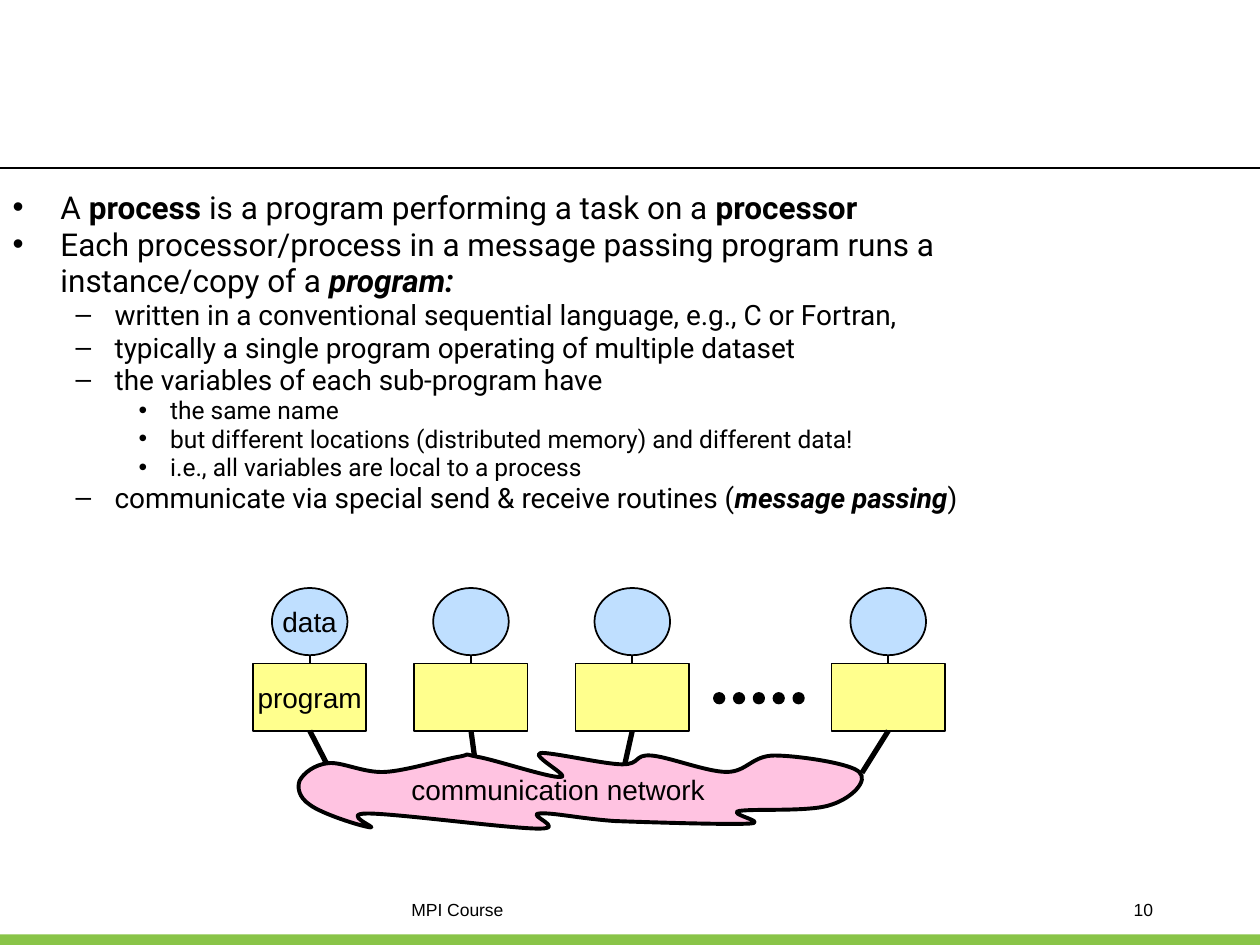
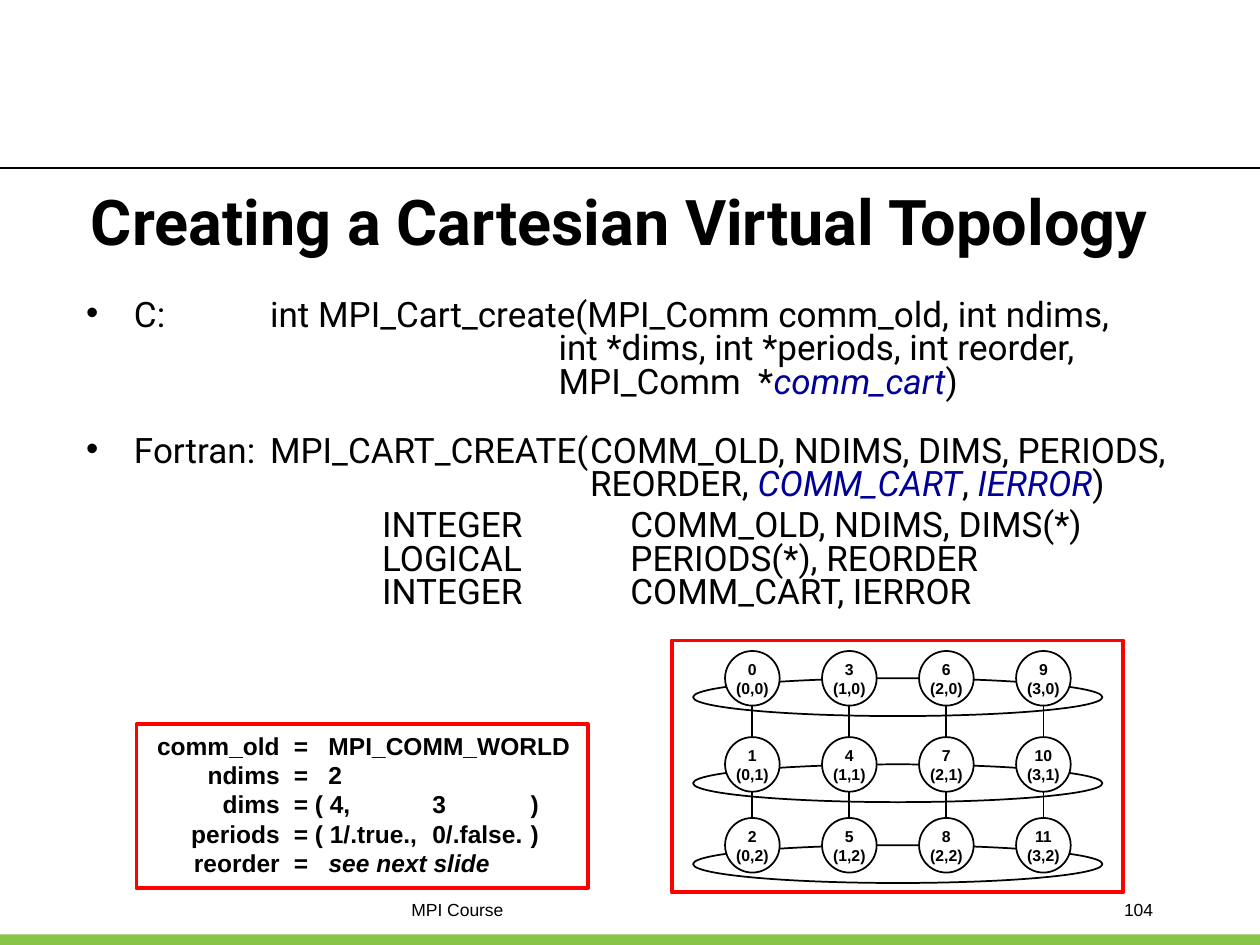
from collections import namedtuple

from lxml import etree
from pptx import Presentation
from pptx import util as u
from pptx.dml.color import RGBColor
from pptx.enum import shapes, text
from pptx.oxml import ns

COLORS = {"black": "000000", "white": "FFFFFF", "green": "89C448", "navy": "000099",
          "red": "FF0000", "blue": "BFDFFF", "yellow": "FFFF8D", "pink": "FFC3E1"}
BODY_FONT, LABEL_FONT = "Roboto", "Arial"
COLUMNS, ROWS = 120, 90
CELL = u.Inches(10) / COLUMNS
LINE_SPACING, GAP = 0.8, 0.2
LEFT, CENTER, RIGHT = text.PP_ALIGN.LEFT, text.PP_ALIGN.CENTER, text.PP_ALIGN.RIGHT
RECTANGLE, OVAL = shapes.MSO_SHAPE.RECTANGLE, shapes.MSO_SHAPE.OVAL

Level = namedtuple("Level", "size margin indent bullet")
MAIN, SUB, DETAIL = (Level(18, 0.38, -0.38, "•"), Level(16, 0.81, -0.31, "–"),
                     Level(14, 1.25, -0.25, "•"))
CONTINUED = Level(18, 0.38, 0, None)
CALL, DECLARATION = Level(20, 0.38, -0.38, "•"), Level(20, 4.32, -1.97, None)

PROCESS_ITEMS = [
    (MAIN, [("A ", ""), ("process", "b"), (" is a program performing a task on a ", ""),
            ("processor", "b")]),
    (MAIN, [("Each processor/process in a message passing program runs a", "")]),
    (CONTINUED, [("instance/copy of a ", ""), ("program:", "bi")]),
    (SUB, [("written in a conventional sequential language, e.g., C or Fortran,", "")]),
    (SUB, [("typically a single program operating of multiple dataset", "")]),
    (SUB, [("the variables of each sub-program have", "")]),
    (DETAIL, [("the same name", "")]),
    (DETAIL, [("but different locations (distributed memory) and different data!", "")]),
    (DETAIL, [("i.e., all variables are local to a process", "")]),
    (SUB, [("communicate via special send & receive routines (", ""),
           ("message passing", "bi"), (")", "")]),
]
C_CALL = [("C:\tint MPI_Cart_create(MPI_Comm comm_old, int ndims,\n"
           "\t\tint *dims, int *periods, int reorder,\n\t\tMPI_Comm  *", ""),
          ("comm_cart", "in"), (")", "")]
FORTRAN_CALL = [("Fortran:\tMPI_CART_CREATE(\tCOMM_OLD, NDIMS, DIMS, PERIODS,\n"
                 "\t\t\tREORDER, ", ""),
                ("COMM_CART", "in"), (", ", ""), ("IERROR", "in"), (")", "")]
DECLARATIONS = ["INTEGER\tCOMM_OLD, NDIMS, DIMS(*)", "LOGICAL\tPERIODS(*), REORDER",
                "INTEGER\tCOMM_CART, IERROR"]
CALL_TABS = [(1.46, "l"), (3.75, "l"), (4, "l")]
SETTING_TABS = [(1.04, "r"), (1.15, "l"), (2.25, "l"), (3.03, "l")]
SETTINGS = [
    [("\tcomm_old\t=   MPI_COMM_WORLD", "b")],
    [("\tndims\t=   2", "b")],
    [("\tdims\t= ( 4,\t3\t)", "b")],
    [("\tperiods\t= ( 1/.true.,\t0/.false.\t)", "b")],
    [("\treorder\t=   ", "b"), ("see next slide", "bi")],
]
NETWORK_START = (25, 9)
NETWORK_CURVES = [
    (36, 8, 53, 17, 70, 16), (87, 15, 116, 6, 128, 4), (140, 2, 129, 1, 143, 4),
    (156, 6, 201, 21, 209, 20), (218, 20, 185, 3, 193, 1), (201, 0, 244, 10, 258, 10),
    (273, 10, 267, 2, 281, 3), (295, 4, 325, 16, 341, 16), (357, 16, 361, 3, 379, 3),
    (396, 3, 439, 9, 446, 16), (454, 23, 440, 37, 424, 42), (408, 48, 362, 45, 351, 47),
    (340, 49, 375, 56, 359, 57), (342, 58, 280, 56, 252, 55), (224, 53, 202, 48, 192, 49),
    (182, 50, 214, 61, 192, 61), (169, 61, 79, 49, 56, 49), (34, 49, 65, 61, 58, 60),
    (50, 59, 19, 49, 10, 42), (1, 36, 0, 28, 2, 23), (5, 17, 14, 10, 25, 9),
]


class Box(namedtuple("Box", "left top width height")):
    """A rectangle in grid cells."""

    def inner(self, left, top, width, height):
        """Return a box placed relative to this one."""
        return Box(self.left + left, self.top + top, width, height)

    def emu(self):
        """Return the four lengths in EMU."""
        return [cells(value) for value in self]


def cells(count):
    """Convert grid cells to a length."""
    return u.Emu(round(count * CELL))


def rgb(name):
    """Look up a named colour."""
    return RGBColor.from_string(COLORS[name])


def format_run(run, size, font, style=""):
    """Set the font of a run; style holds b, i and n (navy)."""
    run.font.size, run.font.name = u.Pt(size), font
    run.font.bold, run.font.italic = "b" in style, "i" in style
    run.font.color.rgb = rgb("navy" if "n" in style else "black")


def fill_paragraph(paragraph, pieces, size, font):
    """Write styled pieces of text, breaking lines where marked."""
    for words, style in pieces:
        for index, line in enumerate(words.split("\n")):
            if index:
                paragraph.add_line_break()
            run = paragraph.add_run()
            run.text = line
            format_run(run, size, font, style)
    for line_break in paragraph._p.findall(ns.qn("a:br")):
        etree.SubElement(line_break, ns.qn("a:rPr"), sz=str(size * 100))


def next_paragraph(frame):
    """Return the empty first paragraph or a new one."""
    first = frame.paragraphs[0]
    return frame.add_paragraph() if first.runs else first


def add_tabs(paragraph, tabs):
    """Add tab stops to a paragraph."""
    tab_list = etree.SubElement(paragraph._p.get_or_add_pPr(), ns.qn("a:tabLst"))
    for position, side in tabs:
        etree.SubElement(tab_list, ns.qn("a:tab"), pos=str(u.Inches(position)), algn=side)


def add_item(frame, pieces, level, tabs=(), gap=GAP):
    """Add one list item with its indent, bullet and spacing."""
    paragraph = next_paragraph(frame)
    properties = paragraph._p.get_or_add_pPr()
    properties.set("marL", str(u.Inches(level.margin)))
    properties.set("indent", str(u.Inches(level.indent)))
    if level.bullet:
        etree.SubElement(properties, ns.qn("a:buChar"), char=level.bullet)
    else:
        etree.SubElement(properties, ns.qn("a:buNone"))
    if tabs:
        add_tabs(paragraph, tabs)
    paragraph.line_spacing = LINE_SPACING
    first = paragraph._p is frame.paragraphs[0]._p
    paragraph.space_before = u.Pt(0 if first else round(gap * level.size, 1))
    fill_paragraph(paragraph, pieces, level.size, BODY_FONT)


def place(placeholder, box, anchor):
    """Move a placeholder and return its text frame."""
    placeholder.left, placeholder.top, placeholder.width, placeholder.height = box.emu()
    frame = placeholder.text_frame
    frame.auto_size, frame.vertical_anchor = text.MSO_AUTO_SIZE.NONE, anchor
    frame.word_wrap = True
    return frame


def add_label(frame, words, size, style="", align=CENTER):
    """Write short text in one font."""
    frame.text = words
    for paragraph in frame.paragraphs:
        paragraph.alignment = align
        for run in paragraph.runs:
            format_run(run, size, LABEL_FONT, style)


def add_text(slide, box, words, size, align=LEFT, wrap=True):
    """Add a text box."""
    frame = slide.shapes.add_textbox(*box.emu()).text_frame
    frame.word_wrap = wrap
    add_label(frame, words, size, align=align)


def paint(shape, fill=None, line="black", weight=1):
    """Set fill and outline and drop the shadow."""
    shape.shadow.inherit = False
    if fill:
        shape.fill.solid()
        shape.fill.fore_color.rgb = rgb(fill)
    else:
        shape.fill.background()
    if line:
        shape.line.color.rgb, shape.line.width = rgb(line), u.Pt(weight)
    else:
        shape.line.fill.background()


def add_figure(slide, kind, box, fill=None, line="black", weight=1):
    """Add a painted preset shape."""
    shape = slide.shapes.add_shape(kind, *box.emu())
    paint(shape, fill, line, weight)
    return shape


def add_line(slide, x1, y1, x2, y2, weight=1):
    """Add a straight black line between grid points."""
    line = slide.shapes.add_connector(shapes.MSO_CONNECTOR.STRAIGHT,
                                      *[cells(value) for value in (x1, y1, x2, y2)])
    line.line.color.rgb, line.line.width = rgb("black"), u.Pt(weight)
    etree.SubElement(line._element.spPr, ns.qn("a:effectLst"))


def add_page(presentation, number):
    """Add a slide with the shared band, rule and footer."""
    slide = presentation.slides.add_slide(presentation.slide_layouts[1])
    add_figure(slide, RECTANGLE, Box(0, ROWS - 1, COLUMNS, 1), "green", None)
    add_line(slide, 0, 16, COLUMNS, 16, 0.75)
    add_text(slide, Box(38, 85, 44, 3), "MPI Course", 10)
    add_text(slide, Box(86, 85, 25, 3), str(number), 10, RIGHT)
    return slide


def bend_segments(shape, curves):
    """Turn the straight segments of an outline into cubic curves."""
    for segment, curve in zip(list(shape._element.iter(ns.qn("a:lnTo"))), curves):
        bend = etree.Element(ns.qn("a:cubicBezTo"))
        for x, y in curve:
            etree.SubElement(bend, ns.qn("a:pt"), x=str(x - shape.left), y=str(y - shape.top))
        segment.getparent().replace(segment, bend)


def draw_network(slide, box):
    """Draw the wavy network outline with its label."""
    def spot(point):
        return [cells(origin + value * 0.12) for origin, value in zip(box[:2], point)]

    curves = [[spot(curve[i:i + 2]) for i in (0, 2, 4)] for curve in NETWORK_CURVES]
    builder = slide.shapes.build_freeform(*spot(NETWORK_START))
    builder.add_line_segments([curve[-1] for curve in curves], close=True)
    outline = builder.convert_to_shape()
    bend_segments(outline, curves)
    paint(outline, "pink", weight=2.25)
    add_text(slide, box.inner(9.7, 1.4, 30.4, 4.4), "communication network", 16, wrap=False)


def draw_processes(slide, box):
    """Draw data and program pairs joined by the network."""
    data_size, program_size = (7.2, 6.4), (10.8, 6.4)
    links = [(7, 16.7), (21.1, 16.1), (35.4, 16.8), (58, 17.6)]
    centers = [box.left + 5.4 + offset for offset in (0, 15.36, 30.72, 55.1)]
    labels = [("data", "program")] + [("", "")] * 3
    for center, pair in zip(centers, labels):
        add_line(slide, center, box.top + 6.4, center, box.top + 7.2)
        data = Box(center - 3.6, box.top, *data_size)
        program = Box(center - 5.4, box.top + 7.2, *program_size)
        parts = (OVAL, data, "blue"), (RECTANGLE, program, "yellow")
        for (kind, area, fill), words in zip(parts, pair):
            shape = add_figure(slide, kind, area, fill)
            if words:
                shape.text_frame.word_wrap = False
                add_label(shape.text_frame, words, 16)
    for index in range(5):
        add_figure(slide, OVAL, box.inner(43.9 + 1.89 * index, 10, 1, 1), "black")
    draw_network(slide, box.inner(4.2, 15.6, 54.5, 7.4))
    for center, (x, y) in zip(centers, links):
        add_line(slide, center, box.top + 13.6, box.left + x, box.top + y, 3)


def draw_settings(slide, box):
    """Draw the framed list of argument values."""
    frame = add_figure(slide, RECTANGLE, box, "white", "red", 2.25).text_frame
    frame.vertical_anchor = text.MSO_ANCHOR.TOP
    for pieces in SETTINGS:
        paragraph = next_paragraph(frame)
        add_tabs(paragraph, SETTING_TABS)
        paragraph.alignment = LEFT
        fill_paragraph(paragraph, pieces, 14, LABEL_FONT)


def draw_topology(slide, box):
    """Draw the ring-connected grid of ranks in its frame."""
    row_tops, columns, pitch, size = (1, 9.2, 16.9), 4, 9.24, 5.2
    for top in row_tops:
        add_figure(slide, OVAL, box.inner(2, top + 2.6, 39, 3.6))
    for column in range(columns):
        left = 5.05 + pitch * column
        center = box.left + left + size / 2
        add_line(slide, center, box.top + row_tops[0] + size, center, box.top + row_tops[-1])
        for row, top in enumerate(row_tops):
            node = add_figure(slide, OVAL, box.inner(left, top, size, size), "white")
            frame = node.text_frame
            frame.margin_left = frame.margin_right = frame.margin_top = frame.margin_bottom = 0
            frame.word_wrap = False
            rank = column * len(row_tops) + row
            add_label(frame, f"{rank}\n({column},{row})", 9, "b")
    add_figure(slide, RECTANGLE, box, None, "red", 2.25)


def build_process_slide(presentation):
    """Build the slide on processes and programs."""
    slide = add_page(presentation, 10)
    title = slide.shapes.title._element
    title.getparent().remove(title)
    frame = place(slide.placeholders[1], Box(0, 18, COLUMNS, 36), text.MSO_ANCHOR.TOP)
    for level, pieces in PROCESS_ITEMS:
        add_item(frame, pieces, level)
    draw_processes(slide, Box(24.1, 56, 66, 23))


def build_topology_slide(presentation):
    """Build the slide on Cartesian topologies."""
    slide = add_page(presentation, 104)
    title = place(slide.shapes.title, Box(0, 16, 118, 10), text.MSO_ANCHOR.MIDDLE)
    title.text = "Creating a Cartesian Virtual Topology"
    title.paragraphs[0].alignment = CENTER
    format_run(title.paragraphs[0].runs[0], 36, BODY_FONT, "b")
    frame = place(slide.placeholders[1], Box(7, 28, 106.2, 36), text.MSO_ANCHOR.TOP)
    frame.margin_right = u.Inches(0.04)
    add_item(frame, C_CALL, CALL, CALL_TABS)
    add_item(frame, FORTRAN_CALL, CALL, CALL_TABS, gap=1)
    for index, line in enumerate(DECLARATIONS):
        add_item(frame, [(line, "")], DECLARATION, gap=0 if index else GAP)
    draw_settings(slide, Box(13, 69, 43, 15.6))
    draw_topology(slide, Box(64, 61, 43, 24))


def main():
    """Build and save the presentation."""
    presentation = Presentation()
    presentation.slide_width, presentation.slide_height = cells(COLUMNS), cells(ROWS)
    build_process_slide(presentation)
    build_topology_slide(presentation)
    presentation.save("out.pptx")


if __name__ == "__main__":
    main()
